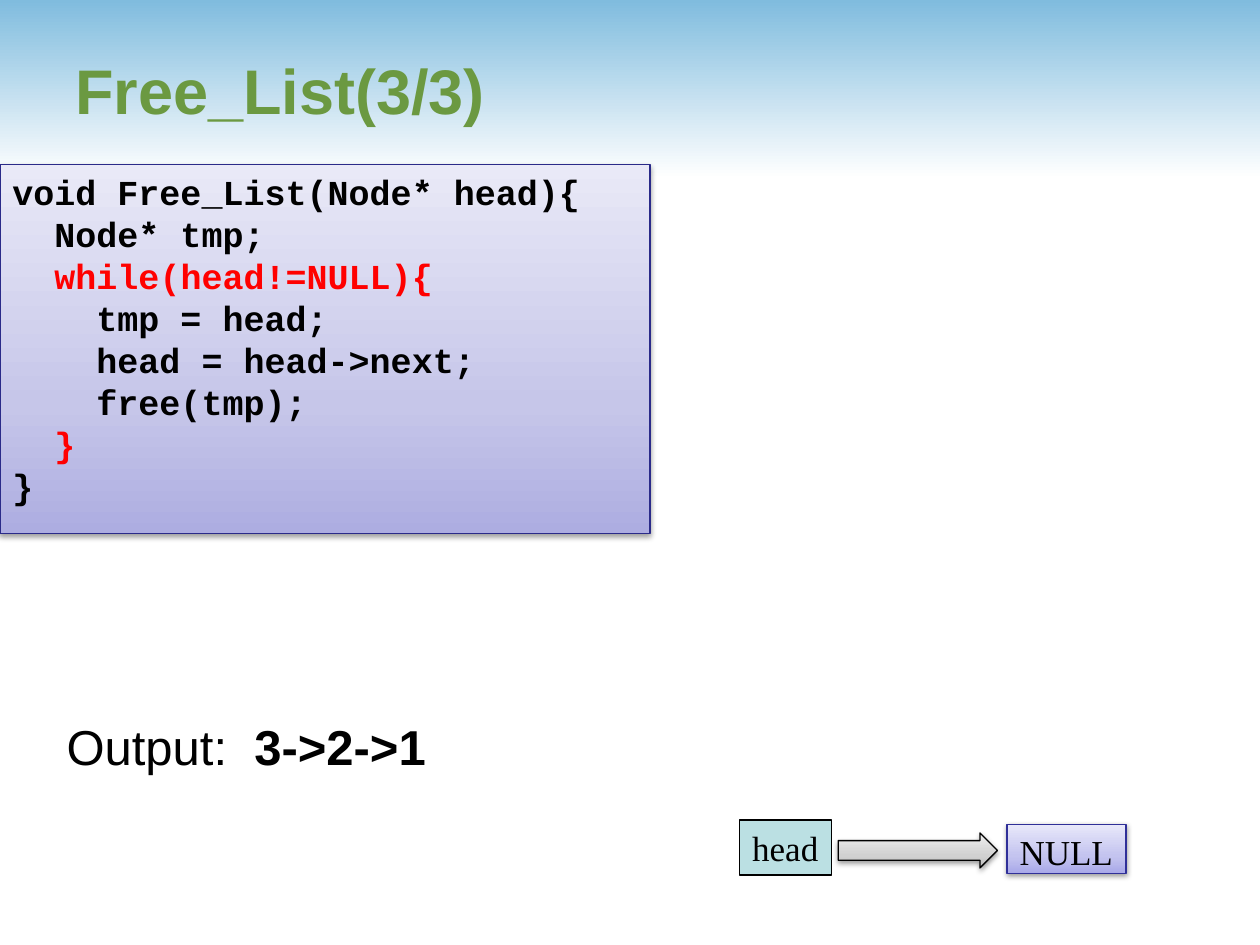
"""Build the Free_List(3/3) slide: code, output and the emptied list."""
import pptx
import pptx.dml.color
import pptx.enum.shapes
import pptx.enum.text
import pptx.oxml
import pptx.oxml.ns
import pptx.util

Pt = pptx.util.Pt
RGB = pptx.dml.color.RGBColor
SHAPE = pptx.enum.shapes.MSO_SHAPE
ALIGN = pptx.enum.text.PP_ALIGN
ANCHOR = pptx.enum.text.MSO_ANCHOR

BLACK = RGB(0, 0, 0)
RED = RGB(0xFF, 0, 0)
GREEN = RGB(0x6B, 0x99, 0x41)
TEAL = RGB(0xBB, 0xE0, 0xE3)
CODE_LINE = RGB(0x2A, 0x2A, 0x89)
NULL_LINE = RGB(0x2F, 0x2F, 0x98)
SKY = [(0, RGB(0x80, 0xBC, 0xDE)), (100, RGB(0xFF, 0xFF, 0xFF))]
GRAY = [(0, RGB(0xBD, 0xBD, 0xBD)), (35, RGB(0xD1, 0xD1, 0xD1)), (100, RGB(0xEE, 0xEE, 0xEE))]
LAVENDER = [(0, RGB(0xAD, 0xAD, 0xE1)), (35, RGB(0xC6, 0xC6, 0xE9)), (100, RGB(0xE9, 0xE9, 0xF7))]
VIOLET = [(0, RGB(0xA9, 0xA9, 0xE9)), (35, RGB(0xC4, 0xC4, 0xEF)), (100, RGB(0xE8, 0xE8, 0xFA))]

TITLE = [[("Free_List(3/3)", {})]]
CODE = [
    [("void Free_List(Node* head){", {})],
    [("  Node* tmp;", {})],
    [("  ", {}), ("while(head!=NULL){", {"color": RED})],
    [("    tmp = head;", {})],
    [("    head = head->next;", {})],
    [("    free(tmp);", {})],
    [("  ", {}), ("}", {"color": RED})],
    [("}", {})],
]
OUTPUT = [[("Output:  ", {}), ("3->2->1", {"bold": True})]]
HEAD = [[("head", {})]]
NULL = [[("NULL", {})]]


def xml(tag, body):
    return pptx.oxml.parse_xml(f"<a:{tag} {pptx.oxml.ns.nsdecls('a')} {body}")


def write(sp, lines, font="Arial", size=20, color=BLACK, bold=False,
          align=ALIGN.LEFT, anchor=ANCHOR.TOP, wrap=True):
    tf = sp.text_frame
    tf.word_wrap = wrap
    tf.vertical_anchor = anchor
    for i, line in enumerate(lines):
        p = tf.add_paragraph() if i else tf.paragraphs[0]
        p.alignment = align
        for text, own in line:
            r = p.add_run()
            r.text = text
            r.font.name = font
            r.font.size = Pt(size)
            r.font.bold = own.get("bold", bold)
            r.font.color.rgb = own.get("color", color)


def add_box(s, kind, at, fill, line=None, angle=270, shadow=False):
    sp = s.shapes.add_shape(kind, *map(Pt, at))
    sp.shadow.inherit = False
    if isinstance(fill, RGB):
        sp.fill.solid()
        sp.fill.fore_color.rgb = fill
    else:
        sp.fill.gradient()
        grad = sp._element.spPr.find(pptx.oxml.ns.qn("a:gradFill"))
        for child in list(grad):
            grad.remove(child)
        stops = "".join(f'<a:gs pos="{pos * 1000}"><a:srgbClr val="{c}"/></a:gs>' for pos, c in fill)
        grad.append(xml("gsLst", f">{stops}</a:gsLst>"))
        grad.append(xml("lin", f'ang="{angle * 60000}" scaled="0"/>'))
    if line is None:
        sp.line.fill.background()
    else:
        sp.line.color.rgb = line
        sp.line.width = Pt(0.75)
    if shadow:
        sp._element.spPr.find(pptx.oxml.ns.qn("a:effectLst")).append(xml(
            "outerShdw", f'blurRad="{Pt(3.1)}" dist="{Pt(1.6)}" dir="5400000" rotWithShape="0">'
            '<a:srgbClr val="000000"><a:alpha val="38000"/></a:srgbClr></a:outerShdw>'))
    return sp


def main():
    prs = pptx.Presentation()
    prs.slide_width, prs.slide_height = Pt(720), Pt(540)
    s = prs.slides.add_slide(prs.slide_layouts[6])

    band = add_box(s, SHAPE.PENTAGON, (0, 0, 720, 102), SKY, angle=90)
    band.adjustments[0] = 0

    head = add_box(s, SHAPE.RECTANGLE, (422.5, 468.5, 52.5, 31.5), TEAL, BLACK)
    write(head, HEAD, font="Times New Roman", align=ALIGN.CENTER, wrap=False)

    arrow = add_box(s, SHAPE.RIGHT_ARROW, (479, 476, 91, 20), GRAY, BLACK, shadow=True)
    arrow.adjustments[0] = 0.56

    code = add_box(s, SHAPE.RECTANGLE, (0, 94, 371.5, 211), LAVENDER, CODE_LINE, shadow=True)
    write(code, CODE, font="Courier New", bold=True)

    title = s.shapes.add_textbox(*map(Pt, (36, 6, 654, 90)))
    write(title, TITLE, size=36, color=GREEN, bold=True, anchor=ANCHOR.MIDDLE)

    null = add_box(s, SHAPE.RECTANGLE, (575.5, 471, 68, 28), VIOLET, NULL_LINE, shadow=True)
    write(null, NULL, font="Times New Roman", wrap=False)

    output = s.shapes.add_textbox(*map(Pt, (31, 406, 264, 41)))
    write(output, OUTPUT, size=28)

    prs.save("out.pptx")


if __name__ == "__main__":
    main()
